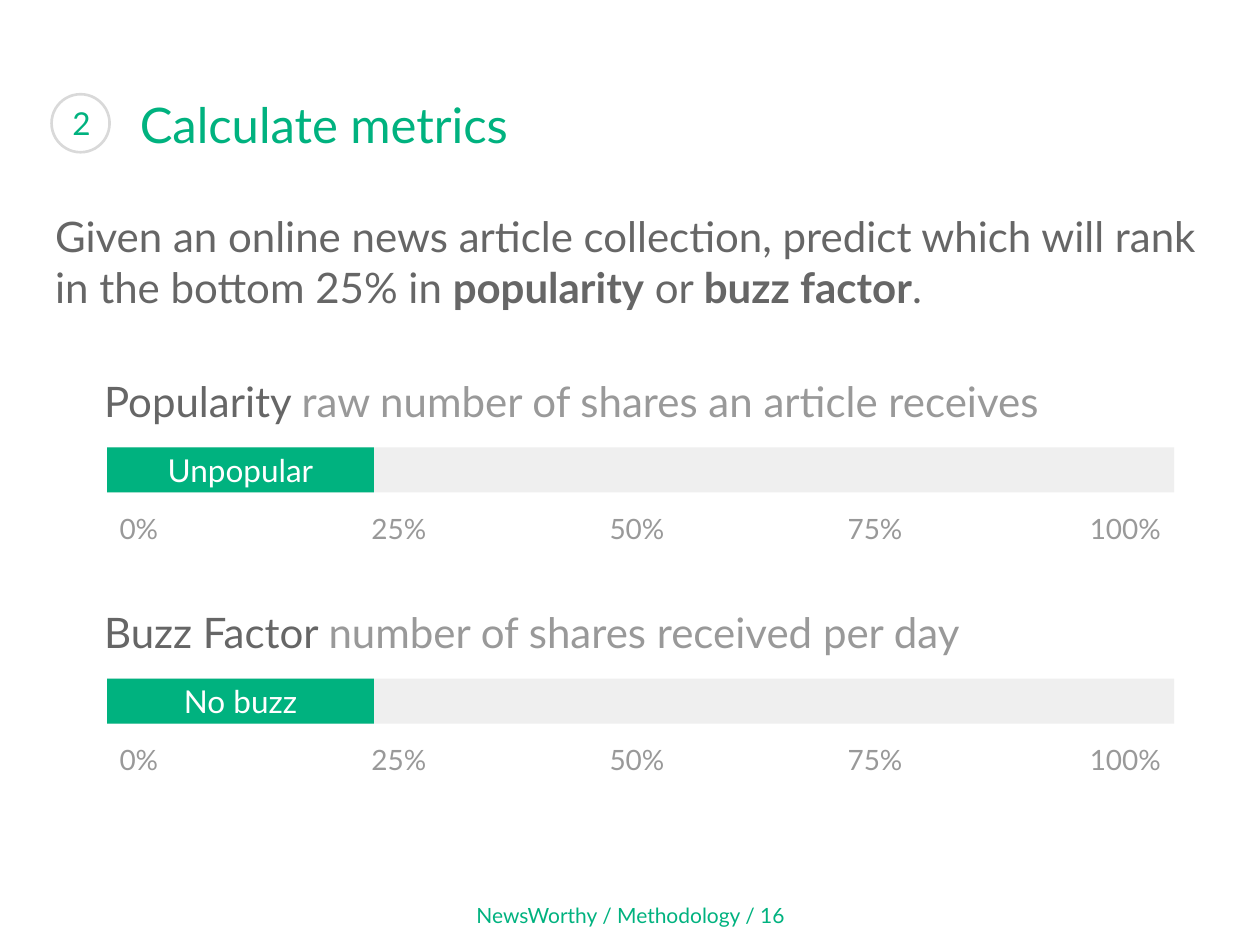
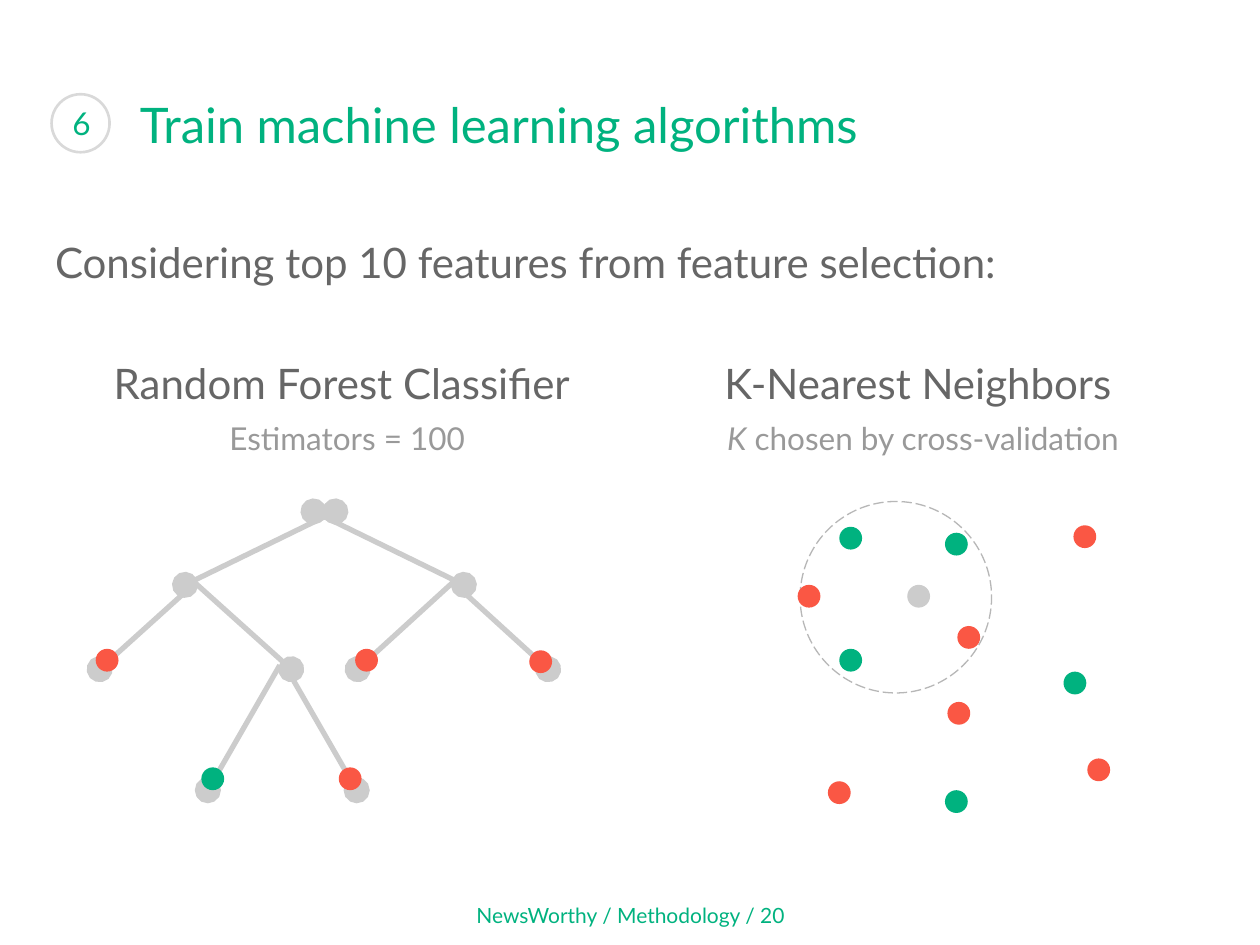
"""Build two methodology slides: popularity metrics and machine learning algorithms."""
import lxml.etree
import pptx
import pptx.dml.color
import pptx.enum.dml
import pptx.enum.shapes
import pptx.enum.text
import pptx.oxml.ns
import pptx.util

Cm, Pt = pptx.util.Cm, pptx.util.Pt
ALIGN = pptx.enum.text.PP_ALIGN
ANCHOR = pptx.enum.text.MSO_ANCHOR
SHAPE = pptx.enum.shapes.MSO_SHAPE
qualified = pptx.oxml.ns.qn


class Theme:
    font = "Lato"
    green, red, white = "00B27F", "FA5744", "FFFFFF"
    dark, muted = "666666", "999999"
    node, track, ring, boundary = "CCCCCC", "EFEFEF", "D9D9D9", "B7B7B7"
    title = {"size": Pt(28), "color": green}
    footer = {"size": Pt(12), "color": green}
    number = {"size": Pt(18), "color": green}
    body = {"size": Pt(24), "color": dark}
    strong = {**body, "bold": True}
    description = {"size": Pt(24), "color": muted}
    detail = {"size": Pt(18), "color": muted}
    symbol = {**detail, "italic": True}
    tick = {"size": Pt(16), "color": muted}
    bar = {"size": Pt(18), "color": white}


def add_shape(slide, kind, box, fill=None, line=None, width=0.75):
    lengths = [Cm(value) for value in box]
    if kind is None:
        return slide.shapes.add_textbox(*lengths)
    shape = slide.shapes.add_shape(kind, *lengths)
    shape.shadow.inherit = False
    if fill:
        shape.fill.solid()
        shape.fill.fore_color.rgb = pptx.dml.color.RGBColor.from_string(fill)
    else:
        shape.fill.background()
    if line:
        shape.line.color.rgb = pptx.dml.color.RGBColor.from_string(line)
        shape.line.width = Pt(width)
    else:
        shape.line.fill.background()
    return shape


def write_text(shape, paragraphs, alignment=ALIGN.LEFT, anchor=ANCHOR.MIDDLE):
    frame = shape.text_frame
    frame_format = {
        "word_wrap": True, "auto_size": pptx.enum.text.MSO_AUTO_SIZE.NONE,
        "vertical_anchor": anchor,
        **{f"margin_{side}": Cm(0.25) for side in ("left", "top", "right", "bottom")},
    }
    for name, value in frame_format.items():
        setattr(frame, name, value)
    for index, pieces in enumerate(paragraphs):
        paragraph = frame.add_paragraph() if index else frame.paragraphs[0]
        paragraph.alignment = alignment
        for text, style in pieces:
            run = paragraph.add_run()
            run.text = text
            run.font.name = Theme.font
            for name, value in style.items():
                if name == "color":
                    run.font.color.rgb = pptx.dml.color.RGBColor.from_string(value)
                else:
                    setattr(run.font, name, value)


presentation = pptx.Presentation()
presentation.slide_width, presentation.slide_height = Cm(25.4), Cm(19.05)

pages = [
    ("2", "Calculate metrics", "16", [
        ("Given an online news article collection, predict which will rank "
         "in the bottom 25% in ", Theme.body),
        ("popularity", Theme.strong), (" or ", Theme.body),
        ("buzz factor", Theme.strong), (".", Theme.body)]),
    ("6", "Train machine learning algorithms", "20", [
        ("Considering top 10 features from feature selection:", Theme.body)]),
]
slides = []
for step, title, page, lead in pages:
    slide = presentation.slides.add_slide(presentation.slide_layouts[6])
    slides.append(slide)
    footer = add_shape(slide, None, (6.35, 18.11, 12.73, 0.69))
    write_text(footer, [[(f"NewsWorthy / Methodology / {page}", Theme.footer)]], ALIGN.CENTER)
    write_text(add_shape(slide, None, (2.57, 1.55, 21.9, 1.88)), [[(title, Theme.title)]])
    badge = add_shape(slide, SHAPE.OVAL, (1.04, 1.9, 1.17, 1.17), line=Theme.ring, width=1.5)
    write_text(badge, [[(step, Theme.number)]])
    write_text(add_shape(slide, None, (0.86, 3.76, 23.67, 3.02)), [lead])

metrics_slide, algorithms_slide = slides

metrics = [
    ("Popularity ", "raw number of shares an article receives", "Unpopular"),
    ("Buzz Factor ", "number of shares received per day", "No buzz"),
]
ticks = [("0%", ALIGN.LEFT, 2.16), ("25%", ALIGN.CENTER, 2.16), ("50%", ALIGN.CENTER, 2.16),
         ("75%", ALIGN.CENTER, 2.16), ("100%", ALIGN.RIGHT, 2.29)]
bar_left, bar_width, row_height = 2.16, 21.51, 0.91
for row, (name, meaning, lowest) in enumerate(metrics):
    top = 7.62 + row * 4.66
    heading = add_shape(metrics_slide, None, (1.85, top, 21.82, row_height))
    write_text(heading, [[(name, Theme.body), (meaning, Theme.description)]])
    add_shape(metrics_slide, SHAPE.RECTANGLE,
              (bar_left, top + 1.4, bar_width, row_height), Theme.track)
    quarter = add_shape(metrics_slide, SHAPE.RECTANGLE,
                        (bar_left, top + 1.4, bar_width / 4, row_height), Theme.green)
    write_text(quarter, [[(lowest, Theme.bar)]], ALIGN.CENTER)
    for column, (label, alignment, width) in enumerate(ticks):
        tick = add_shape(metrics_slide, None,
                         (bar_left + column * 4.8, top + 2.57, width, row_height))
        write_text(tick, [[(label, Theme.tick)]], alignment)

algorithms = [
    (1.9, "Random Forest Classifier", [("Estimators = 100", Theme.detail)]),
    (13.51, "K-Nearest Neighbors",
     [("K", Theme.symbol), (" chosen by cross-validation", Theme.detail)]),
]
for left, name, setting in algorithms:
    caption = add_shape(algorithms_slide, None, (left, 6.96, 9.98, 2.57))
    write_text(caption, [[(name, Theme.body)], [(" ", Theme.body), *setting]],
               ALIGN.CENTER, ANCHOR.TOP)

neighborhood = add_shape(algorithms_slide, SHAPE.OVAL, (16.13, 10.11, 3.86, 3.86),
                         line=Theme.boundary)
neighborhood.line.dash_style = pptx.enum.dml.MSO_LINE.LONG_DASH

both_ends, far_end = ("headEnd", "tailEnd"), ("tailEnd",)
branches = [
    (6.76, 10.31, 3.73, 11.79, both_ends), (6.32, 10.31, 9.35, 11.79, both_ends),
    (3.96, 11.73, 2.01, 13.49, far_end), (3.91, 11.73, 5.87, 13.49, far_end),
    (9.14, 11.73, 7.21, 13.49, far_end), (9.12, 11.73, 11.05, 13.49, far_end),
    (5.64, 13.41, 4.19, 15.93, far_end), (5.74, 13.41, 7.19, 15.93, far_end),
]
for *ends, nodes in branches:
    branch = algorithms_slide.shapes.add_connector(
        pptx.enum.shapes.MSO_CONNECTOR.STRAIGHT, *[Cm(value) for value in ends])
    branch.line.color.rgb = pptx.dml.color.RGBColor.from_string(Theme.node)
    branch.line.width = Pt(3)
    properties = branch._element.spPr
    outline = properties.find(qualified("a:ln"))
    for node in nodes:
        lxml.etree.SubElement(outline, qualified(f"a:{node}"), type="oval", w="lg", len="lg")
    lxml.etree.SubElement(properties, qualified("a:effectLst"))

neighbor_dots = {
    Theme.green: [(16.92, 10.62), (19.05, 10.74), (16.92, 13.08), (21.44, 13.54),
                  (19.05, 15.93)],
    Theme.red: [(19.3, 12.62), (19.1, 14.15), (21.92, 15.29), (21.64, 10.59),
                (16.08, 11.79), (16.69, 15.75)],
    Theme.node: [(18.29, 11.79)],
}
leaf_dots = {
    Theme.green: [(4.06, 15.47)],
    Theme.red: [(10.67, 13.11), (7.16, 13.08), (6.83, 15.47), (1.93, 13.08)],
}
for dots in (neighbor_dots, leaf_dots):
    for color, places in dots.items():
        for left, top in places:
            add_shape(algorithms_slide, SHAPE.OVAL, (left, top, 0.46, 0.46), color)

presentation.save("out.pptx")
